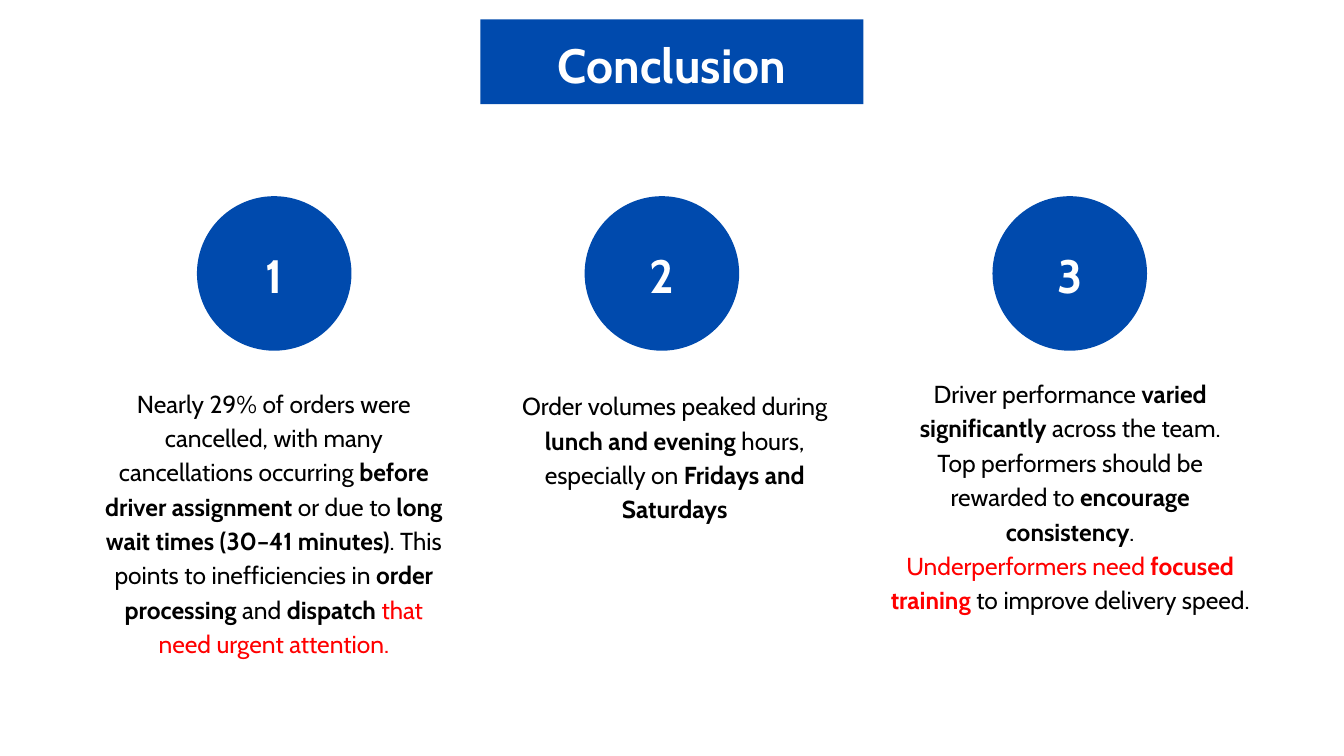
from pptx import Presentation
from pptx.dml.color import RGBColor
from pptx.enum.shapes import MSO_SHAPE
from pptx.enum.text import MSO_ANCHOR, MSO_AUTO_SIZE, PP_ALIGN
from pptx.util import Pt

TITLE = "Conclusion"
FINDINGS = [
    {
        "circle_left": 211, "text_box": (109.4, 411.2, 368, 329),
        "paragraphs": [[
            ("Nearly 29% of orders were cancelled, with many cancellations occurring ", "plain"),
            ("before driver assignment", "bold"),
            (" or due to", "plain"),
            (" long wait times (30–41 minutes)", "bold"),
            (". This points to inefficiencies in", "plain"),
            (" order processing ", "bold"),
            ("and ", "plain"),
            ("dispatch ", "bold"),
            ("that need urgent attention.", "alert"),
        ]],
    },
    {
        "circle_left": 626.4, "text_box": (558.7, 414, 328.3, 145.4),
        "paragraphs": [[
            ("Order volumes peaked during ", "plain"),
            ("lunch and evening", "bold"),
            (" hours, especially on ", "plain"),
            ("Fridays and Saturdays", "bold"),
        ]],
    },
    {
        "circle_left": 1063.4, "text_box": (951.1, 401, 391, 292.3),
        "paragraphs": [
            [
                ("Driver performance", "plain"),
                (" varied significantly", "bold"),
                (" across the team.", "plain"),
            ],
            [
                ("Top performers should be rewarded to ", "plain"),
                ("encourage consistency", "bold"),
                (".", "plain"),
            ],
            [
                ("Underperformers need ", "alert"),
                ("focused training ", "alert bold"),
                ("to improve delivery speed.", "plain"),
            ],
        ],
    },
]

THEME = {
    "font": "Cabin",
    "blue": RGBColor(0x00, 0x4A, 0xAD),
    "white": RGBColor(0xFF, 0xFF, 0xFF),
    "black": RGBColor(0x00, 0x00, 0x00),
    "red": RGBColor(0xFF, 0x00, 0x00),
    "title_size": 51.5,
    "number_size": 50.1,
    "body_size": 26.3,
}
LINE_RATIO = 1.4
BANNER = (514.8, 20.9, 410.4, 90.7)
CIRCLE_TOP, CIRCLE_SIZE = 210.2, 165.6


def write_text(shape, paragraphs, *, size, color, inset_top=0):
    frame = shape.text_frame
    frame.word_wrap = True
    frame.auto_size = MSO_AUTO_SIZE.NONE
    frame.vertical_anchor = MSO_ANCHOR.TOP
    frame.margin_left = frame.margin_right = frame.margin_bottom = 0
    frame.margin_top = Pt(inset_top)
    for index, runs in enumerate(paragraphs):
        paragraph = frame.add_paragraph() if index else frame.paragraphs[0]
        paragraph.alignment = PP_ALIGN.CENTER
        paragraph.line_spacing = Pt(round(size * LINE_RATIO, 1))
        paragraph.space_before = paragraph.space_after = Pt(0)
        for text, style in runs:
            run = paragraph.add_run()
            run.text = text
            run.font.name = THEME["font"]
            run.font.size = Pt(size)
            run.font.bold = "bold" in style
            run.font.color.rgb = THEME["red"] if "alert" in style else color


def fill_blue(shape):
    shape.fill.solid()
    shape.fill.fore_color.rgb = THEME["blue"]
    shape.line.fill.background()


def add_title(slide):
    title = slide.shapes.title
    title.left, title.top, title.width, title.height = map(Pt, BANNER)
    fill_blue(title)
    write_text(title, [[(TITLE, "bold")]], size=THEME["title_size"],
               color=THEME["white"], inset_top=7.2)


def add_finding(slide, number, finding):
    circle = slide.shapes.add_shape(
        MSO_SHAPE.OVAL, Pt(finding["circle_left"]), Pt(CIRCLE_TOP),
        Pt(CIRCLE_SIZE), Pt(CIRCLE_SIZE))
    circle.shadow.inherit = False
    fill_blue(circle)
    write_text(circle, [[(str(number), "bold")]], size=THEME["number_size"],
               color=THEME["white"], inset_top=20.5)
    text_box = slide.shapes.add_textbox(*map(Pt, finding["text_box"]))
    write_text(text_box, finding["paragraphs"], size=THEME["body_size"],
               color=THEME["black"])


def main():
    presentation = Presentation()
    presentation.slide_width, presentation.slide_height = Pt(1440), Pt(810)
    slide = presentation.slides.add_slide(presentation.slide_layouts[5])
    add_title(slide)
    for number, finding in enumerate(FINDINGS, start=1):
        add_finding(slide, number, finding)
    presentation.save("out.pptx")


if __name__ == "__main__":
    main()
